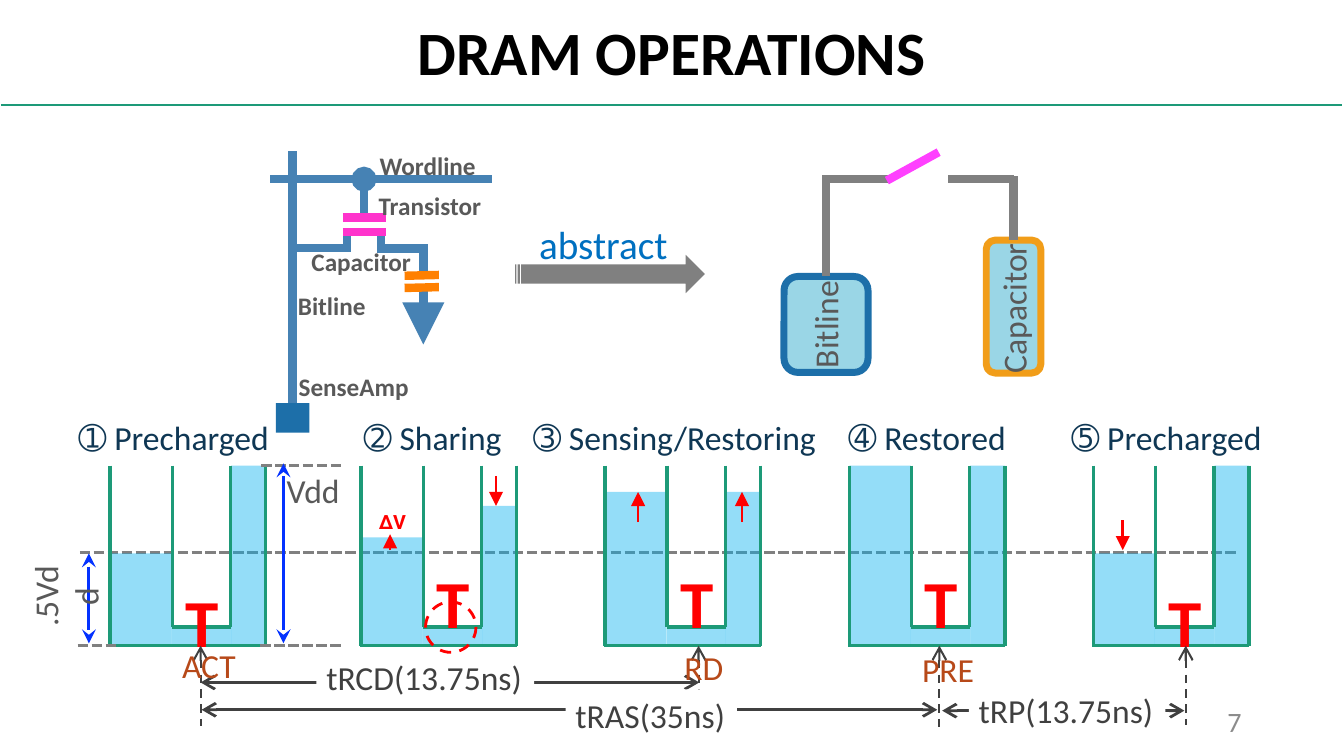
from dataclasses import dataclass

from pptx import Presentation
from pptx.dml.color import RGBColor
from pptx.enum.dml import MSO_LINE
from pptx.enum.shapes import MSO_CONNECTOR, MSO_SHAPE
from pptx.enum.text import MSO_ANCHOR, MSO_AUTO_SIZE, PP_ALIGN
from pptx.oxml.ns import qn
from pptx.oxml.xmlchemy import OxmlElement
from pptx.util import Pt


@dataclass(frozen=True)
class Theme:
    font: str = "Calibri"
    delta_font: str = "Roboto"
    title: str = "000000"
    green: str = "1D9A78"
    water: str = "00B0F0"
    grey: str = "808080"
    label: str = "595959"
    dark: str = "404040"
    number: str = "8C8C8C"
    caption: str = "0F3754"
    command: str = "B74919"
    abstract: str = "0070C0"
    red: str = "FF0000"
    blue: str = "0432FF"
    wire: str = "4682B4"
    navy: str = "1D6FA9"
    teal: str = "36AFCE"
    amber: str = "F19D19"
    orange: str = "FF8000"
    gate: str = "FF33CC"
    switch: str = "FF40FF"
    back: str = "FFFFFF"
    title_size: int = 44
    gate_size: int = 48
    abstract_size: int = 28
    body_size: int = 24
    number_size: int = 20
    part_size: int = 18
    delta_size: int = 14


THEME = Theme()
TOP, HALF, FLOOR, BOTTOM = 332.6, 395.3, 447.8, 461.2
# tank left, caption, caption left and width, bitline level, cell level, gate top
STAGES = [
    (78.1, "➀ Precharged", 49, 155.5, HALF, TOP, 411),
    (257.4, "➁ Sharing", 252.7, 118, 383.8, 361.4, 397.4),
    (431.6, "➂ Sensing/Restoring", 373.7, 222.5, 351.4, 351.4, 397.4),
    (606.2, "➃ Restored", 599, 131.8, TOP, TOP, 397.4),
    (780.5, "➄ Precharged", 758.2, 155.5, HALF, TOP, 411),
]


def rgb(value):
    return RGBColor.from_string(value)


def add_child(parent, tag, **attributes):
    child = OxmlElement(tag)
    for name, value in attributes.items():
        child.set(name, str(value))
    parent.append(child)


def style_line(link, color, width, dash=None, head=None, tail=None):
    link.line.color.rgb = rgb(color)
    link.line.width = Pt(width)
    if dash:
        link.line.dash_style = dash
    outline = link.line._get_or_add_ln()
    add_child(outline, "a:miter", lim=800000)
    for tag, end in (("a:headEnd", head), ("a:tailEnd", tail)):
        if end:
            size = "med" if end == "oval" else "lg"
            add_child(outline, tag, type=end, w=size, len=size)
    add_child(link._element.spPr, "a:effectLst")


def line(page, x1, y1, x2, y2, color, width, **ends):
    link = page.shapes.add_connector(MSO_CONNECTOR.STRAIGHT, Pt(x1), Pt(y1), Pt(x2), Pt(y2))
    style_line(link, color, width, **ends)
    return link


def elbow(page, x1, y1, x2, y2, bend, upright=False):
    """Bent wire; an upright one leaves and arrives vertically."""
    if upright:
        mid_x, mid_y = (x1 + x2) / 2, (y1 + y2) / 2
        half_w, half_h = (y2 - y1) / 2, (x2 - x1) / 2
        x1, y1, x2, y2 = mid_x - half_w, mid_y - half_h, mid_x + half_w, mid_y + half_h
    link = page.shapes.add_connector(MSO_CONNECTOR.ELBOW, Pt(x1), Pt(y1), Pt(x2), Pt(y2))
    properties = link._element.spPr
    if upright:
        frame = properties.find(qn("a:xfrm"))
        frame.set("rot", "16200000")
        frame.set("flipH", "1")
    guides = properties.find(qn("a:prstGeom")).find(qn("a:avLst"))
    add_child(guides, "a:gd", name="adj1", fmla=f"val {round(bend * 100000)}")
    style_line(link, THEME.wire, 6)


def shape(page, kind, x, y, w, h, fill=None, alpha=None, edge=None, width=0, dash=None):
    box = page.shapes.add_shape(kind, Pt(x), Pt(y), Pt(w), Pt(h))
    box.shadow.inherit = False
    if fill:
        box.fill.solid()
        box.fill.fore_color.rgb = rgb(fill)
        if alpha:
            color = box.fill._xPr.find(qn("a:solidFill"))[0]
            add_child(color, "a:alpha", val=alpha * 1000)
    else:
        box.fill.background()
    if edge:
        box.line.color.rgb = rgb(edge)
        box.line.width = Pt(width)
        if dash:
            box.line.dash_style = dash
    else:
        box.line.fill.background()
    return box


def text(page, words, x, y, w, h, color, size=THEME.body_size, font=THEME.font, bold=False,
         align=PP_ALIGN.LEFT, middle=False, wrap=True, turn=0, fill=None):
    box = page.shapes.add_textbox(Pt(x), Pt(y), Pt(w), Pt(h))
    box.rotation = turn
    if fill:
        box.fill.solid()
        box.fill.fore_color.rgb = rgb(fill)
    frame = box.text_frame
    frame.word_wrap = wrap
    frame.auto_size = MSO_AUTO_SIZE.NONE if middle else MSO_AUTO_SIZE.SHAPE_TO_FIT_TEXT
    frame.vertical_anchor = MSO_ANCHOR.MIDDLE if middle else MSO_ANCHOR.TOP
    para = frame.paragraphs[0]
    para.text, para.alignment = words, align
    set_font(para.font, color, size, font, bold)
    return box


def set_font(font, color, size, name=THEME.font, bold=False):
    font.name, font.size, font.bold = name, Pt(size), bold
    font.color.rgb = rgb(color)


def label(page, words, x, y, w, h, **options):
    return text(page, words, x, y, w, h, THEME.label, align=PP_ALIGN.CENTER, middle=True, **options)


def heading(page):
    line(page, 0.7, 75, 958.3, 75, THEME.green, 2)
    title = page.shapes.title
    title.left, title.top, title.width, title.height = Pt(66), Pt(5), Pt(828), Pt(69)
    title.text_frame.text = "DRAM OPERATIONS"
    title.text_frame.vertical_anchor = MSO_ANCHOR.MIDDLE
    para = title.text_frame.paragraphs[0]
    para.alignment, para.line_spacing = PP_ALIGN.CENTER, 0.9
    set_font(para.font, THEME.title, THEME.title_size, bold=True)
    text(page, "7", 678, 500.5, 216, 28.8, THEME.number, THEME.number_size,
         align=PP_ALIGN.RIGHT, middle=True)


def tank(page, x, caption, caption_x, caption_w, bitline_level, cell_level, gate_y):
    for left, top, width in ((0.5, bitline_level, 44), (44.5, FLOOR, 42.5), (87, cell_level, 25)):
        shape(page, MSO_SHAPE.RECTANGLE, x + left, top, width, BOTTOM - top, THEME.water, 42)
    for left, end in ((0.5, BOTTOM), (45, FLOOR), (86.5, FLOOR), (111.6, BOTTOM)):
        line(page, x + left, TOP, x + left, end, THEME.green, 2.5)
    line(page, x - 0.3, BOTTOM, x + 112, BOTTOM, THEME.green, 2.5)
    line(page, x + 44.5, FLOOR, x + 87, FLOOR, THEME.green, 2.5)
    text(page, "T", x + 47.3, gate_y, 28, 65.5, THEME.red, THEME.gate_size, bold=True, wrap=False)
    text(page, caption, caption_x, 294.5, caption_w, 36, THEME.caption, wrap=False)


def voltage_marks(page):
    for x1, x2, y in ((186.5, 244, TOP), (186, 243.5, BOTTOM), (55.5, 84, BOTTOM)):
        line(page, x1, y, x2, y, THEME.grey, 2.5, dash=MSO_LINE.SQUARE_DOT)
    for x, top in ((202.5, 331), (63.5, HALF)):
        line(page, x, top, x, 459.5, THEME.blue, 2, head="stealth", tail="stealth")
    label(page, "Vdd", 196, 338.5, 55.5, 23)
    half = label(page, ".5Vdd", 16.5, 393, 60, 66)
    half.text_frame._txBody.bodyPr.set("vert", "vert270")


def level_changes(page):
    # Each arrow runs from its tail to its tip
    for x, start, tip in ((278.6, 393, 381.6), (354.3, 340, 361.4), (455.8, 373, 351.4),
                          (530, 373, 351.4), (802, 371.5, 393)):
        line(page, x, start, x, tip, THEME.red, 2, tail="triangle")
    text(page, "ΔV", 263.5, 360.7, 34, 24.5, THEME.red, THEME.delta_size,
         THEME.delta_font, bold=True, wrap=False)
    shape(page, MSO_SHAPE.OVAL, 304, 430, 36, 36, edge=THEME.red, width=2, dash=MSO_LINE.DASH)


def circuit(page):
    amp = shape(page, MSO_SHAPE.RECTANGLE, 197, 288, 24, 21, THEME.navy)
    line(page, 193, 128, 351.5, 128, THEME.wire, 6)
    line(page, 209, 108, 209, 288, THEME.wire, 6).end_connect(amp, 0)
    line(page, 260, 128, 260, 157, THEME.wire, 6, head="oval")
    line(page, 245, 155.5, 276, 155.5, THEME.gate, 6)
    elbow(page, 209, 177, 272, 165.6, 0.615)
    elbow(page, 272, 165.6, 302.4, 195, 0.408, upright=True)
    line(page, 302.4, 205, 302.4, 246, THEME.wire, 6, tail="triangle")
    for words, x, y, w, h in (("Wordline", 255.5, 109, 100, 18), ("Bitline", 201, 206, 72, 24),
                              ("Transistor", 262, 142, 90, 9.5), ("Capacitor", 213, 182, 90, 9.5),
                              ("SenseAmp", 198.7, 266.5, 108, 19.5)):
        label(page, words, x, y, w, h, size=THEME.part_size, bold=True)
    for y in (197, 205.7):
        line(page, 289, y, 313.5, y - 0.6, THEME.orange, 6)
    line(page, 245, 165.6, 276, 165.6, THEME.gate, 6)


def abstraction(page):
    bitline = shape(page, MSO_SHAPE.ROUNDED_RECTANGLE, 560, 197.5, 60, 68.5,
                    THEME.teal, 50, THEME.navy, 5)
    cell = shape(page, MSO_SHAPE.ROUNDED_RECTANGLE, 704.5, 171.5, 39, 95,
                 THEME.teal, 50, THEME.amber, 5)
    line(page, 587.5, 128, 634.5, 128, THEME.grey, 6)
    line(page, 677.5, 128, 724.5, 128, THEME.grey, 6)
    line(page, 590, 126.5, 590, 197.5, THEME.grey, 6).end_connect(bitline, 0)
    line(page, 724, 126, 724, 171.5, THEME.grey, 6).end_connect(cell, 0)
    line(page, 633.5, 129, 670.5, 108.7, THEME.switch, 6)
    label(page, "Bitline", 547.2, 221, 84.2, 21.6, turn=270)
    label(page, "Capacitor", 669, 208.8, 109.4, 23, turn=270)
    shape(page, MSO_SHAPE.STRIPED_RIGHT_ARROW, 368, 182, 135.5, 27.4, THEME.grey)
    text(page, "abstract", 378, 154, 107.3, 41, THEME.abstract, THEME.abstract_size)


def timing(page):
    for x, end in ((143.3, 518.4), (499, 493), (671, 519), (847, 518)):
        line(page, x, BOTTOM, x, end, THEME.dark, 1.5, dash=MSO_LINE.DASH, head="arrow")
    for words, x1, x2, y, box_x, box_y, w in (
            ("tRCD(13.75ns)", 143.3, 499.5, 487.5, 226, 466, 155.5),
            ("tRAS(35ns)", 144, 669.5, 507, 404, 492.5, 122.4),
            ("tRP(13.75ns)", 673, 846, 507.6, 692, 489, 140.4)):
        line(page, x2, y, x1, y, THEME.dark, 2, head="arrow", tail="arrow")
        text(page, words, box_x, box_y, w, 36, THEME.dark, wrap=False, fill=THEME.back)
    for command, x, y, w in (("ACT", 123, 457.3, 53.3), ("RD", 481.7, 458.7, 42.5),
                             ("PRE", 651.6, 460, 52)):
        text(page, command, x, y, w, 36, THEME.command)


def main():
    deck = Presentation()
    deck.slide_width, deck.slide_height = Pt(960), Pt(540)
    page = deck.slides.add_slide(deck.slide_layouts[5])
    heading(page)
    # Half-voltage reference across all stages
    line(page, 57, 394.6, 885, 394.6, THEME.grey, 2.5, dash=MSO_LINE.SQUARE_DOT)
    for stage in STAGES:
        tank(page, *stage)
    voltage_marks(page)
    abstraction(page)
    circuit(page)
    timing(page)
    level_changes(page)
    deck.save("out.pptx")


if __name__ == "__main__":
    main()
